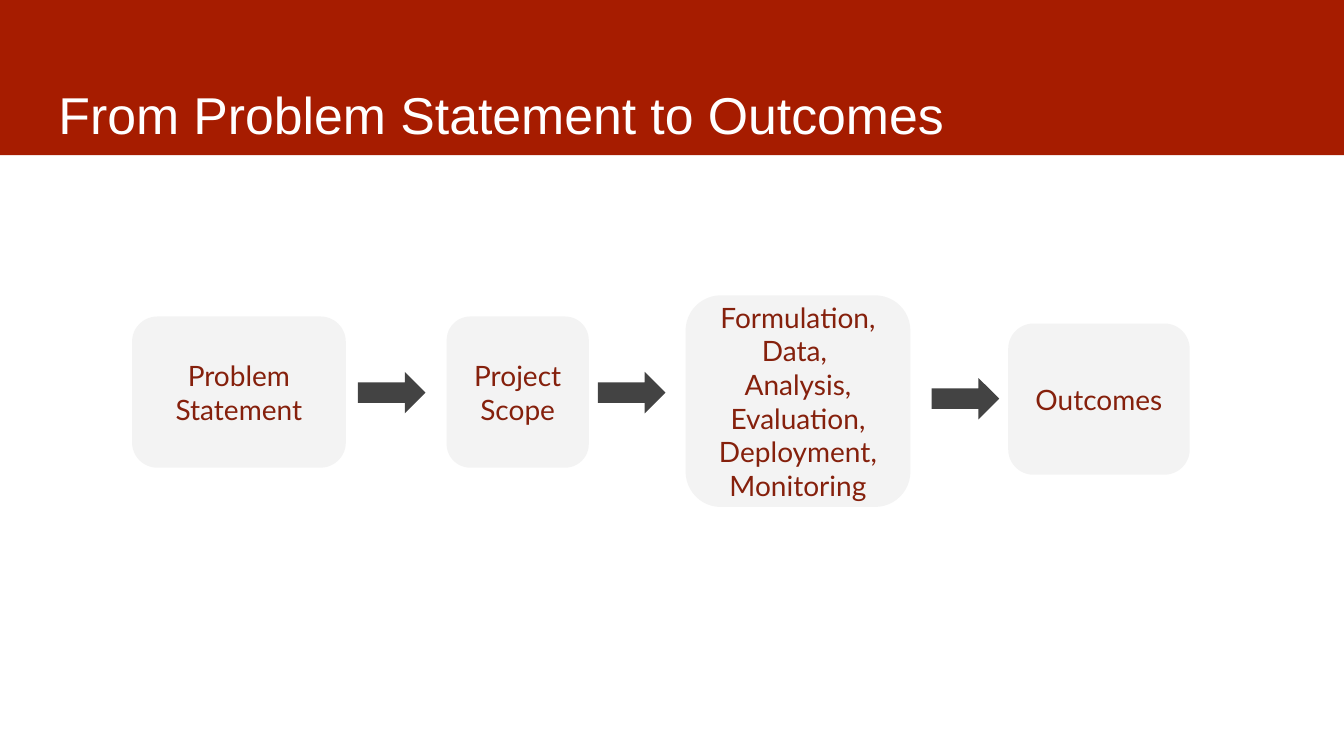
from pptx import Presentation
from pptx.dml.color import RGBColor
from pptx.enum.shapes import MSO_SHAPE
from pptx.enum.text import MSO_ANCHOR, PP_ALIGN
from pptx.util import Inches, Pt

COLORS = {
    "band": "A61C00",
    "step": "F3F3F3",
    "arrow": "434343",
    "step_text": "85200C",
    "title_text": "FFFFFF",
}


class ProcessSlide:
    title_font = "Arial"
    step_font = "Lato"

    def __init__(self, presentation):
        self.slide = presentation.slides.add_slide(presentation.slide_layouts[5])

    def add_block(self, kind, left, top, width, height, color):
        shape = self.slide.shapes.add_shape(
            kind, Inches(left), Inches(top), Inches(width), Inches(height))
        shape.shadow.inherit = False
        shape.fill.solid()
        shape.fill.fore_color.rgb = RGBColor.from_string(COLORS[color])
        shape.line.fill.background()
        return shape

    def set_text(self, shape, text, font, size, color, alignment, anchor, margins):
        frame = shape.text_frame
        frame.word_wrap = True
        frame.vertical_anchor = anchor
        left, top, right, bottom = margins
        frame.margin_left, frame.margin_top = Inches(left), Inches(top)
        frame.margin_right, frame.margin_bottom = Inches(right), Inches(bottom)
        paragraph = frame.paragraphs[0]
        paragraph.text = text
        paragraph.alignment = alignment
        paragraph.font.name = font
        paragraph.font.size = Pt(size)
        paragraph.font.color.rgb = RGBColor.from_string(COLORS[color])

    def add_title(self, text):
        self.add_block(MSO_SHAPE.RECTANGLE, -0.02, -0.04, 13.36, 1.58, "band")
        title = self.slide.shapes.title
        title.left, title.top = Inches(0.45), Inches(0.65)
        title.width, title.height = Inches(12.42), Inches(0.83)
        self.set_text(title, text, self.title_font, 37, "title_text",
                      PP_ALIGN.LEFT, MSO_ANCHOR.TOP, (0.13, 0.17, 0.13, 0.05))
        title.element.getparent().append(title.element)

    def add_step(self, text, left, top, width, height=1.5):
        step = self.add_block(
            MSO_SHAPE.ROUNDED_RECTANGLE, left, top, width, height, "step")
        self.set_text(step, text, self.step_font, 20, "step_text",
                      PP_ALIGN.CENTER, MSO_ANCHOR.MIDDLE, (0.1,) * 4)

    def add_arrow(self, left, top):
        self.add_block(MSO_SHAPE.RIGHT_ARROW, left, top, 0.67, 0.41, "arrow")


def main():
    presentation = Presentation()
    presentation.slide_width = Inches(13.33)
    presentation.slide_height = Inches(7.5)

    process = ProcessSlide(presentation)
    process.add_title("From Problem Statement to Outcomes")
    process.add_step("Problem Statement", 1.31, 3.14, 2.12)
    process.add_step("Project Scope", 4.43, 3.14, 1.41)
    process.add_step(
        "Formulation,\vData, \vAnalysis, Evaluation, Deployment, Monitoring",
        6.8, 2.93, 2.23, 2.1)
    process.add_step("Outcomes", 10, 3.21, 1.8)
    for left, top in ((3.55, 3.69), (5.93, 3.69), (9.24, 3.75)):
        process.add_arrow(left, top)

    presentation.save("out.pptx")


if __name__ == "__main__":
    main()
